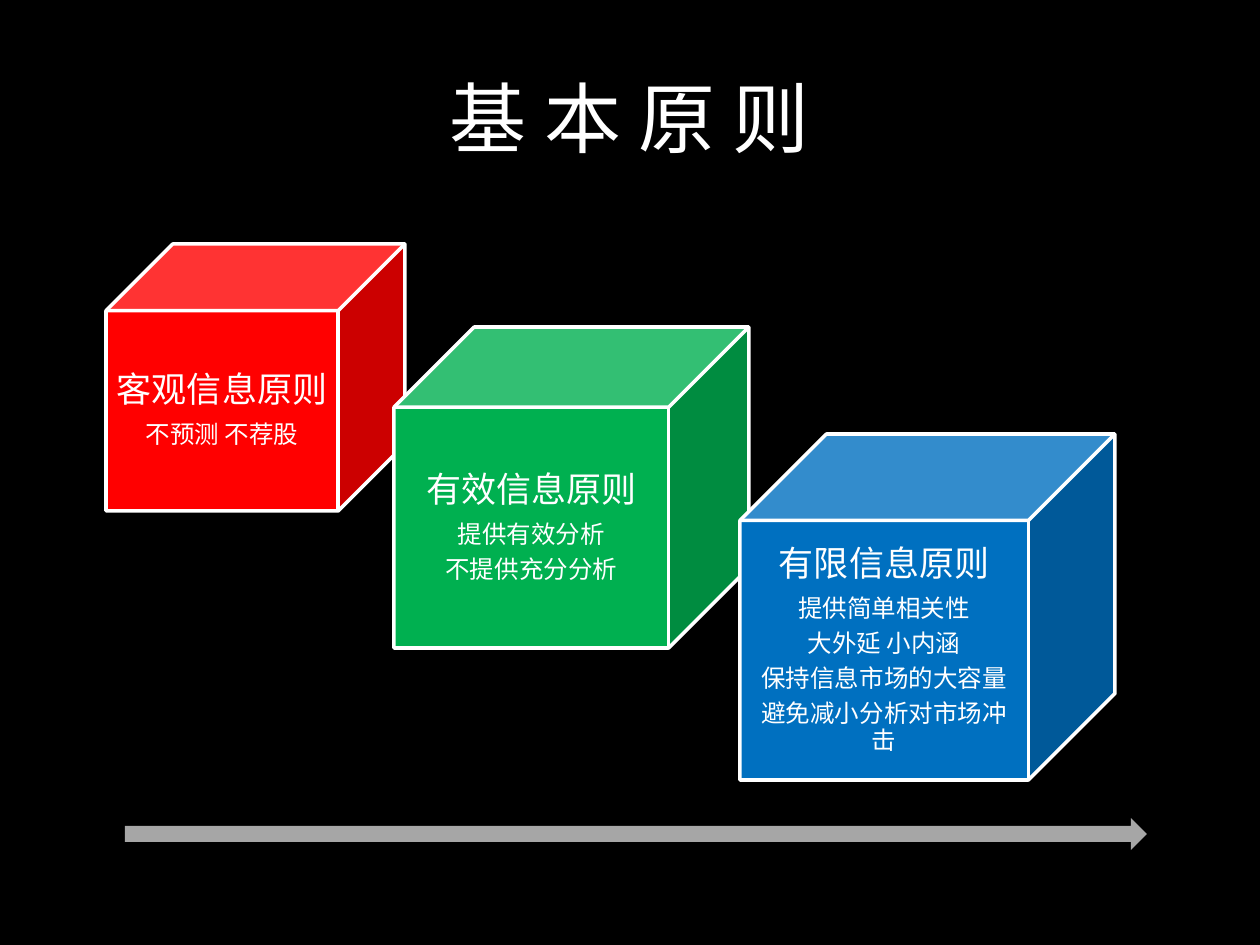
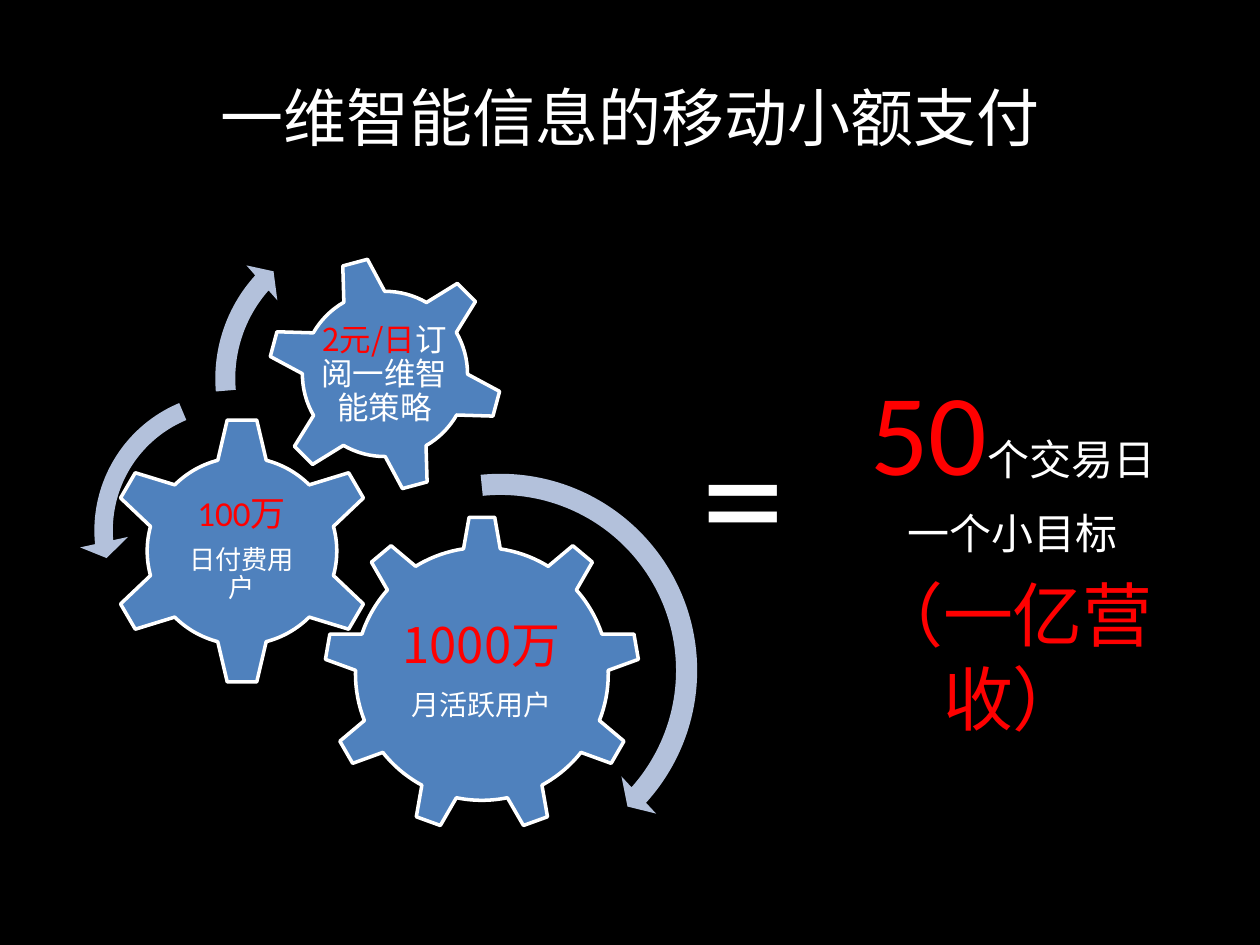
from lxml.etree import SubElement
from pptx import Presentation
from pptx.dml.color import RGBColor
from pptx.enum.shapes import MSO_SHAPE as Shape
from pptx.enum.text import MSO_ANCHOR as Anchor, PP_ALIGN as Align
from pptx.oxml.ns import qn
from pptx.util import Emu, Pt

BLACK = RGBColor(0x00, 0x00, 0x00)
WHITE = RGBColor(0xFF, 0xFF, 0xFF)
RED = RGBColor(0xFF, 0x00, 0x00)
GREEN = RGBColor(0x00, 0xB0, 0x50)
BLUE = RGBColor(0x00, 0x70, 0xC0)
GRAY = RGBColor(0xA6, 0xA6, 0xA6)
GEAR_BLUE = RGBColor(0x4F, 0x81, 0xBD)
PALE_BLUE = RGBColor(0xB3, 0xC1, 0xDB)
LATIN = "Calibri"
HAN = "Noto Sans CJK SC"
CUBE_DEPTH = 0.25


def px(length):
    """Turn pixels into EMU at 126 pixels to the inch."""
    return Emu(round(length * 914400 / 126))


def span(text, size, color=WHITE, font=HAN):
    """Describe one run of text."""
    return text, size, color, font


def add_text(page, box, paras, inset=None, anchor=Anchor.TOP, align=Align.CENTER,
             wrap=True, line=None, before=0, after=0):
    """Add a text box; before and after are shares of the text size."""
    label = page.shapes.add_textbox(*map(px, box))
    frame = label.text_frame
    frame.word_wrap = wrap
    frame.vertical_anchor = anchor
    if inset is not None:
        frame.margin_left = frame.margin_right = px(inset)
        frame.margin_top = frame.margin_bottom = px(inset)
    for index, spans in enumerate(paras):
        para = frame.paragraphs[0] if index == 0 else frame.add_paragraph()
        para.alignment = align
        size = spans[-1][1]
        if line:
            para.line_spacing = line
        if before and index:
            para.space_before = Pt(before * size)
        if after:
            para.space_after = Pt(after * size)
        for text, size, color, font in spans:
            run = para.add_run()
            run.text = text
            run.font.size = Pt(size)
            run.font.color.rgb = color
            run.font.name = font
            SubElement(run.font._element, qn("a:ea"), typeface=LATIN)
    return label


def add_caption(page, box, paras, inset):
    """Add the compact centred text of a diagram part."""
    add_text(page, box, paras, inset, Anchor.MIDDLE, line=0.9, after=0.35)


def add_solid(page, kind, box, fill, outline=None, adjustments=(), rotation=0):
    """Add a flat preset shape."""
    solid = page.shapes.add_shape(kind, *map(px, box))
    solid.shadow.inherit = False
    solid.fill.solid()
    solid.fill.fore_color.rgb = fill
    if outline is None:
        solid.line.fill.background()
    else:
        solid.line.color.rgb = outline
        solid.line.width = Pt(2)
    for index, value in enumerate(adjustments):
        solid.adjustments[index] = value
    solid.rotation = rotation


def add_page(deck, title, size):
    """Add a black slide with its title."""
    page = deck.slides.add_slide(deck.slide_layouts[6])
    page.background.fill.solid()
    page.background.fill.fore_color.rgb = BLACK
    label = add_text(page, (63, 38, 1134, 157), [[span(title, size)]], anchor=Anchor.MIDDLE)
    label.fill.solid()
    label.fill.fore_color.rgb = BLACK
    label.line.color.rgb = BLACK
    label.line.width = Pt(2)
    return page


def add_cube(page, box, fill, heading, details):
    """Add a cube with a principle on its front face."""
    left, top, width, height = box
    depth = CUBE_DEPTH * min(width, height)
    add_solid(page, Shape.CUBE, box, fill, WHITE, [CUBE_DEPTH])
    face = left, top + depth, width - depth, height - depth
    paras = [[span(heading, 20)]] + [[span(detail, 14)] for detail in details]
    add_caption(page, face, paras, inset=10)


def add_gear(page, kind, box, text_box, paras, inset, rotation=0):
    """Add a gear and its text, which is placed from the gear's corner."""
    left, top = box[:2]
    add_solid(page, kind, box, GEAR_BLUE, WHITE, rotation=rotation)
    across, down, width, height = text_box
    add_caption(page, (left + across, top + down, width, height), paras, inset)


def build_principles(deck):
    """Build the slide of the basic principles."""
    page = add_page(deck, "基 本 原 则", 44)
    add_solid(page, Shape.RIGHT_ARROW, (125, 818, 1022, 32), GRAY)
    cubes = [
        ((106, 244, 299, 267), RED, "客观信息原则", ["不预测 不荐股"]),
        ((394, 327, 355, 321), GREEN, "有效信息原则", ["提供有效分析", "不提供充分分析"]),
        ((740, 434, 375, 346), BLUE, "有限信息原则",
         ["提供简单相关性", "大外延 小内涵", "保持信息市场的大容量", "避免减小分析对市场冲击"]),
    ]
    for cube in cubes:
        add_cube(page, *cube)


def build_payment(deck):
    """Build the slide of the small mobile payments."""
    page = add_page(deck, "一维智能信息的移动小额支付", 36)
    add_gear(page, Shape.GEAR_9, (324, 516, 316, 316), (63, 74, 189, 162),
             [[span("1000万", 28, RED)], [span("月活跃用户", 16, font=LATIN)]], 5)
    add_gear(page, Shape.GEAR_6, (107, 417, 270, 268), (67, 67, 135, 132),
             [[span("100万", 20, RED, LATIN)], [span("日付费用户", 15, font=LATIN)]], 4)
    add_gear(page, Shape.GEAR_6, (267, 256, 236, 236), (51, 53, 133, 132),
             [[span("2元/日", 18, RED), span("订阅一维智能策略", 18, font=LATIN)]], 3, 345)
    turns = [
        (Shape.CIRCULAR_ARROW, (289, 459, 423, 423), (0.05, 2.99, 25.2, 158.53, 0.06)),
        (Shape.LEFT_CIRCULAR_ARROW, (79, 377, 307, 307), (0.06, 4.3, 104.89, 148.38, 0.08)),
        (Shape.CIRCULAR_ARROW, (202, 212, 333, 333), (0.06, 3.94, 133.14, 105.08, 0.07)),
    ]
    for kind, box, adjustments in turns:
        add_solid(page, kind, box, PALE_BLUE, adjustments=adjustments)
    add_text(page, (799, 354, 428, 323), [
        [span("50", 66, RED, LATIN), span("个交易日", 24, font=LATIN)],
        [span("一个小目标", 24, font=LATIN)],
        [span("（一亿营收）", 40, RED)],
    ], before=0.2)
    add_text(page, (689, 383, 110, 217), [[span("=", 96, font=LATIN)]],
             align=Align.LEFT, wrap=False)


def main():
    """Build and save the deck."""
    deck = Presentation()
    deck.slide_width, deck.slide_height = px(1260), px(945)
    build_principles(deck)
    build_payment(deck)
    deck.save("out.pptx")


if __name__ == "__main__":
    main()
